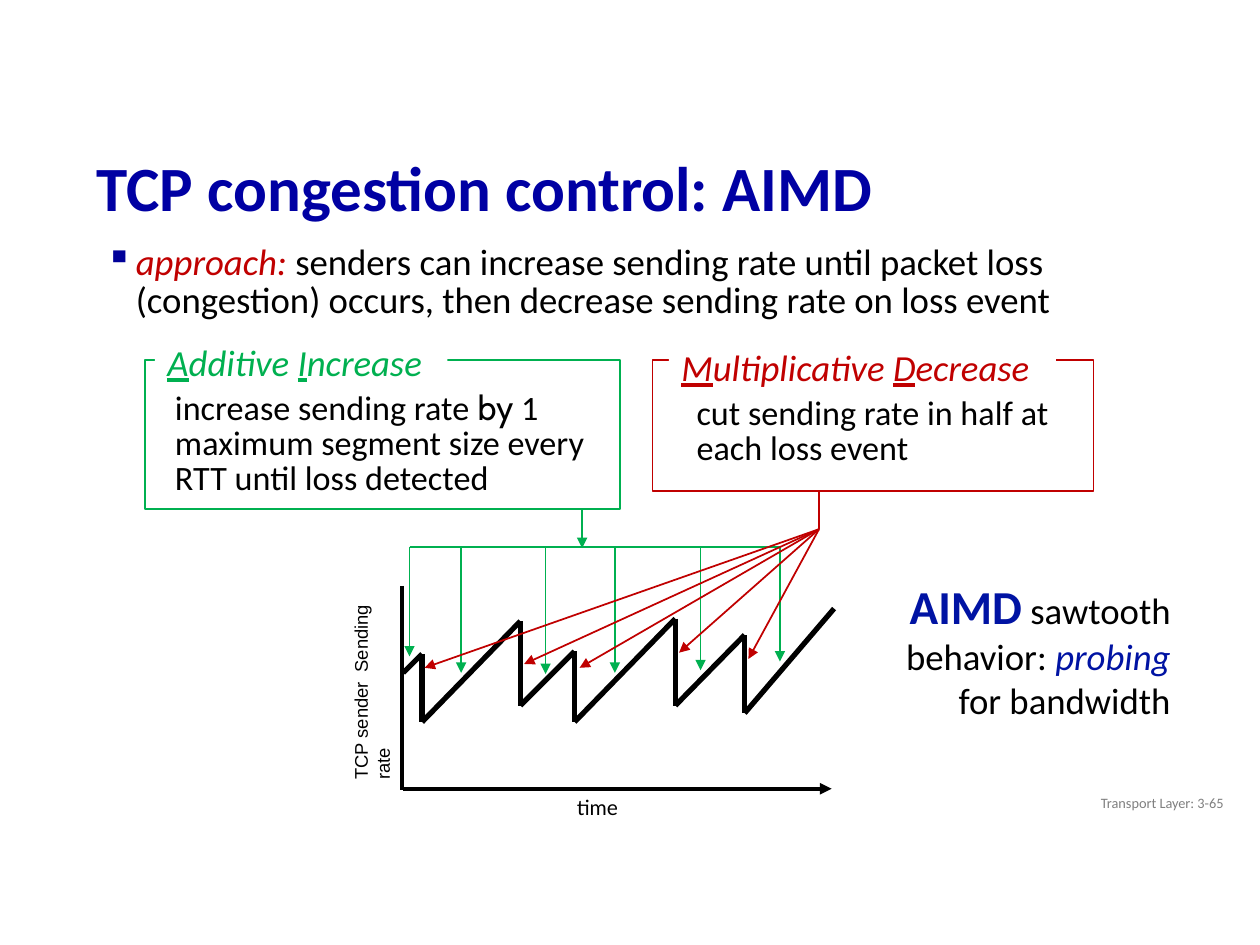
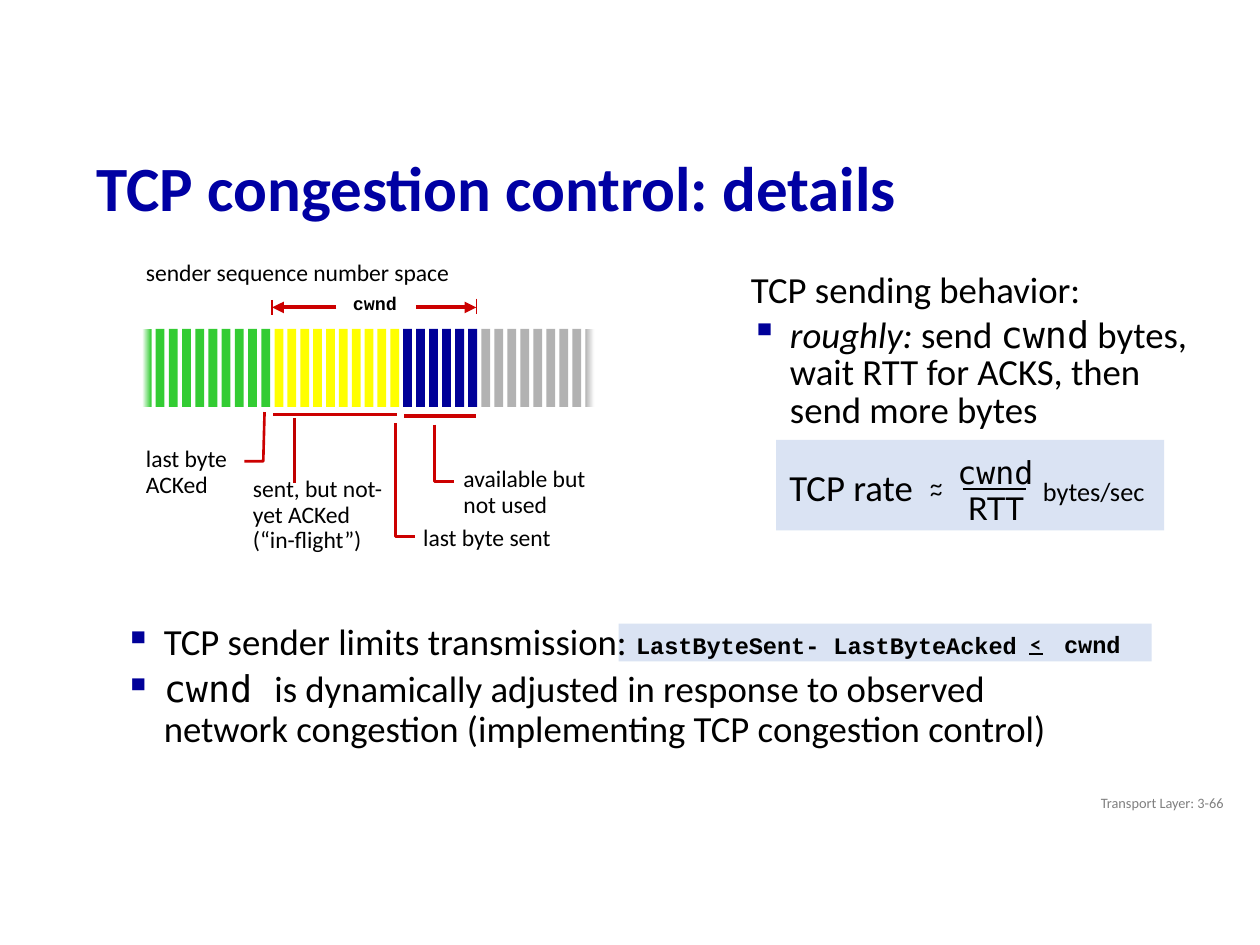
"""Build two slides on TCP congestion control."""
import itertools

import lxml.etree
import pptx
import pptx.dml.color
import pptx.enum.shapes
import pptx.enum.text
import pptx.oxml.ns
import pptx.util

BLACK, WHITE, GREY = "000000", "FFFFFF", "808080"
TITLE_BLUE, BULLET_BLUE, AIMD_BLUE = "0000A3", "000099", "0013A3"
GREEN, RED, BRIGHT_RED, PALE_BLUE = "00B050", "C00000", "CC0000", "DAE3F3"
MONO, COURIER, LATO = "DejaVu Sans Mono", "Courier New", "Lato"
TITLE_BOX, FOOTER_BOX = (0.67, 1.15, 9.34, 0.73), (7.56, 6.22, 2.25, 0.3)
SLIM_INSETS = (0.07, 0.04, 0.07, 0.04)

BODY = dict(spacing=0.85, before=True)
BOXED = dict(BODY, size=19.5, margin=0.5)
LABEL = dict(size=13.5, spacing=0.9)
CODE = dict(size=13.5, font=COURIER, bold=True)
TILDE = dict(size=13.5, font=LATO, align="CENTER")
FREE = dict(wrap=False)
CENTRED = dict(wrap=False, align="CENTER")
UNDER, PLAIN = dict(underline=True), {}

AIMD_PANELS = [
    ((1.15, 2.86, 3.77, 1.18), WHITE, GREEN),
    ((5.18, 2.86, 3.5, 1.04), WHITE, RED),
]
AIMD_TEXTS = [
    ((0.74, 1.9, 8.43, 1.19),
     [[("approach: ", dict(color=RED, italic=True)),
       ("senders can increase sending rate until packet loss (congestion) occurs, "
        "then decrease sending rate on loss event", PLAIN)]],
     dict(BODY, margin=0.24, hang=0.24, bullets_from=0)),
    ((7.07, 4.53, 2.32, 1.26),
     [[("AIMD", dict(size=27, color=AIMD_BLUE, bold=True)), (" sawtooth", PLAIN)],
      [("behavior: ", PLAIN), ("probing", dict(color=AIMD_BLUE, italic=True))],
      [("for bandwidth", PLAIN)]],
     dict(FREE, align="RIGHT")),
    ((2.02, 5.13, 1.86, 0.45), [[("TCP sender  Sending rate", PLAIN)]],
     dict(size=10.5, font="Arial", rotation=270, fill=WHITE)),
    ((4.48, 6.26, 0.53, 0.3), [[("time", PLAIN)]], dict(FREE, size=12, font=LATO)),
    ((0.79, 3.07, 4.15, 1.19),
     [[("increase sending rate ", PLAIN), ("by ", dict(font="Cabin")),
       ("1 maximum segment size every RTT until loss detected", PLAIN)]], BOXED),
    ((4.93, 3.11, 3.9, 0.68),
     [[("cut sending rate in half at each loss event", PLAIN)]], BOXED),
    ((1.23, 2.7, 2.32, 0.36),
     [[("A", UNDER), ("dditive ", PLAIN), ("I", UNDER), ("ncrease", PLAIN)]],
     dict(BODY, color=GREEN, italic=True, fill=WHITE)),
    ((5.31, 2.74, 3.07, 0.36),
     [[("M", UNDER), ("ultiplicative ", PLAIN), ("D", UNDER), ("ecrease", PLAIN)]],
     dict(BODY, color=RED, italic=True, fill=WHITE)),
]
SAWTOOTH = [(3.2, 5.34), (3.35, 5.19), (3.35, 5.73), (4.13, 4.93), (4.13, 5.6),
            (4.56, 5.17), (4.56, 5.73), (5.36, 4.91), (5.36, 5.6), (5.91, 5.04),
            (5.91, 5.66), (6.62, 4.83)]
INCREASE_Y, INCREASE_TIPS = 4.34, [(3.25, 5.21), (3.66, 5.34), (4.33, 5.35),
                                   (4.88, 5.34), (5.56, 5.32), (6.19, 5.25)]
LOSS_HUB, LOSS_TIPS = (6.5, 4.2), [(5.94, 5.23), (3.37, 5.3), (4.16, 5.27),
                                   (4.6, 5.3), (5.39, 5.18)]
AIMD_LINES = [
    ((3.2, 6.26), (6.6, 6.26), BLACK, 2.25, True),
    ((3.19, 4.65), (3.19, 6.27), BLACK, 2.25, False),
    ((3.25, INCREASE_Y), (6.19, INCREASE_Y), GREEN, 1, False),
    ((4.62, 4.04), (4.62, 4.35), GREEN, 1, True),
    (LOSS_HUB, (6.5, 3.9), RED, 1, False),
]

DETAIL_PANELS = [
    ((4.91, 4.95, 4.23, 0.3), PALE_BLUE, None),
    ((6.16, 3.49, 3.08, 0.72), PALE_BLUE, None),
]
DETAIL_TEXTS = [
    ((0.92, 4.91, 7.9, 1.39),
     [[("TCP sender limits transmission:", PLAIN)],
      [("cwnd ", dict(font=MONO)),
       ("is dynamically adjusted in response to observed network congestion "
        "(implementing TCP congestion control)", PLAIN)]],
     dict(spacing=0.9, before=True, margin=0.31, hang=0.31, bullets_from=0,
          insets=SLIM_INSETS)),
    ((4.95, 4.99, 3.61, 0.29), [[("LastByteSent- LastByteAcked", PLAIN)]],
     dict(CODE, **BODY, margin=0.25, hang=0.25)),
    ((8.05, 4.96, 0.34, 0.3), [[("<", PLAIN)]],
     dict(CENTRED, size=12, font=LATO, bold=True)),
    ((8.34, 4.95, 0.66, 0.33), [[("cwnd", PLAIN)]], dict(CENTRED, **CODE)),
    ((1.06, 3.5, 0.86, 0.51), [[("last byte", PLAIN)], [("ACKed", PLAIN)]],
     dict(FREE, **LABEL)),
    ((3.26, 4.13, 1.32, 0.31), [[("last byte sent", PLAIN)]], LABEL),
    ((2.7, 2.29, 0.55, 0.26), [[("cwnd", PLAIN)]],
     dict(CENTRED, size=10.5, font=COURIER, bold=True, spacing=0.9)),
    ((1.06, 2, 2.69, 0.33), [[("sender sequence number space", PLAIN)]],
     dict(FREE, size=13.5)),
    ((3.58, 3.66, 1.32, 0.51), [[("available but not used", PLAIN)]], LABEL),
    ((1.91, 3.74, 1.36, 0.71),
     [[("sent, but not-yet ACKed", PLAIN)], [("(“in-flight”)", PLAIN)]], LABEL),
    ((5.89, 2.13, 3.77, 2.01),
     [[("TCP sending behavior:", PLAIN)],
      [("roughly:", dict(italic=True)), (" send ", PLAIN), ("cwnd", dict(font=MONO)),
       (" bytes, wait RTT for ACKS, then send more bytes", PLAIN)]],
     dict(BODY, margin=0.31, hang=0.31, bullets_from=1, insets=SLIM_INSETS)),
    ((6.16, 3.64, 1.19, 0.45), [[("TCP rate", PLAIN)]], CENTRED),
    ((7.05, 3.68, 0.76, 0.33), [[("~", PLAIN)]], TILDE),
    ((7.05, 3.74, 0.76, 0.33), [[("~", PLAIN)]], TILDE),
    ((7.5, 3.55, 0.8, 0.4), [[("cwnd", PLAIN)]], dict(CENTRED, size=18, font=MONO)),
    ((7.58, 3.83, 0.65, 0.4), [[("RTT", PLAIN)]], dict(CENTRED, size=18, font=LATO)),
    ((8.17, 3.72, 1.02, 0.35), [[("bytes/sec", PLAIN)]], dict(CENTRED, size=15)),
]
DETAIL_LINES = [
    ((8.17, 5.19), (8.28, 5.19), BLACK, 1.5, False),
    ((7.64, 3.88), (8.14, 3.88), BLACK, 1.5, False),
    ((3.3, 2.44), (3.78, 2.44), BRIGHT_RED, 2.25, True),
    ((2.67, 2.44), (2.16, 2.44), BRIGHT_RED, 2.25, True),
    ((3.78, 2.37), (3.78, 2.49), BRIGHT_RED, 0.75, False),
    ((2.16, 2.38), (2.16, 2.5), BRIGHT_RED, 0.75, False),
    ((2.17, 3.29), (3.15, 3.29), BRIGHT_RED, 2.25, False),
    ((3.21, 3.3), (3.78, 3.3), BRIGHT_RED, 2.25, False),
    ((2.34, 3.32), (2.34, 3.83), RED, 1.5, False),
]
ELBOWS = [
    [(2.1, 3.27), (2.09, 3.66), (1.94, 3.66)],
    [(3.14, 3.36), (3.14, 4.26), (3.29, 4.26)],
    [(3.45, 3.37), (3.45, 3.82), (3.6, 3.82)],
]
BYTE_GROUPS = [("33CC33", 10), ("FFFF00", 10), ("000099", 6), ("B2B2B2", 9)]
BYTE_EDGES = [1.13, 2.18, 3.2, 3.82, 4.75]
BYTE_TOP, BYTE_W, BYTE_H = 2.61, 0.07, 0.62


def cm(inches):
    """Turn inches into a length."""
    return pptx.util.Cm(inches * 2.54)


def rgb(code):
    """Turn a hex string into a colour."""
    return pptx.dml.color.RGBColor.from_string(code)


def add_xml(parent, tag, **attrs):
    """Append a DrawingML element."""
    return lxml.etree.SubElement(parent, pptx.oxml.ns.qn(tag), attrs)


def add_panel(slide, box, fill, line=None):
    """Add a flat rectangle."""
    sp = slide.shapes.add_shape(pptx.enum.shapes.MSO_SHAPE.RECTANGLE, *map(cm, box))
    sp.shadow.inherit = False
    sp.fill.solid()
    sp.fill.fore_color.rgb = rgb(fill)
    if line:
        sp.line.color.rgb = rgb(line)
        sp.line.width = pptx.util.Pt(1)
    else:
        sp.line.fill.background()
    return sp


def add_run(p, text, size, font="Calibri", color=BLACK, bold=False, italic=False,
            underline=False):
    """Add one styled run."""
    r = p.add_run()
    r.text = text
    r.font.size, r.font.name = pptx.util.Pt(size), font
    r.font.color.rgb = rgb(color)
    r.font.bold, r.font.italic, r.font.underline = bold, italic, underline


def add_text(slide, box, paras, size=21, wrap=True, align="LEFT", anchor="TOP",
             spacing=1.0, before=False, margin=0, hang=0, bullets_from=None,
             insets=(0.1, 0.05, 0.1, 0.05), rotation=0, fill=None, **style):
    """Add a text box whose paragraphs are lists of runs."""
    sp = slide.shapes.add_textbox(*map(cm, box))
    sp.rotation = rotation
    if fill:
        sp.fill.solid()
        sp.fill.fore_color.rgb = rgb(fill)
    tf = sp.text_frame
    tf.word_wrap = wrap
    if not wrap:
        tf.auto_size = pptx.enum.text.MSO_AUTO_SIZE.SHAPE_TO_FIT_TEXT
    tf.vertical_anchor = pptx.enum.text.MSO_ANCHOR[anchor]
    tf.margin_left, tf.margin_top, tf.margin_right, tf.margin_bottom = map(cm, insets)
    for i, runs in enumerate(paras):
        p = tf.add_paragraph() if i else tf.paragraphs[0]
        p.alignment = pptx.enum.text.PP_ALIGN[align]
        p.line_spacing = spacing
        if before:
            p.space_before = pptx.util.Pt(size * 0.2)
        pPr = p._p.get_or_add_pPr()
        pPr.set("marL", str(cm(margin)))
        pPr.set("indent", str(-cm(hang)))
        if bullets_from is not None and i >= bullets_from:
            add_xml(add_xml(pPr, "a:buClr"), "a:srgbClr", val=BULLET_BLUE)
            add_xml(pPr, "a:buChar", char="▪")
        for text, own in runs:
            add_run(p, text, **{"size": size, **style, **own})


def add_line(slide, start, end, color, width, arrow=False):
    """Add a straight line, with an arrowhead at its end if asked."""
    c = slide.shapes.add_connector(pptx.enum.shapes.MSO_CONNECTOR.STRAIGHT,
                                   *map(cm, start + end))
    c.line.color.rgb = rgb(color)
    c.line.width = pptx.util.Pt(width)
    if arrow:
        add_xml(c.line._get_or_add_ln(), "a:tailEnd", type="triangle")
    add_xml(c._element.spPr, "a:effectLst")


def add_elbow(slide, points):
    """Add an open bent leader line."""
    start, *rest = [tuple(map(cm, point)) for point in points]
    fb = slide.shapes.build_freeform(*start)
    fb.add_line_segments(rest, close=False)
    sp = fb.convert_to_shape()
    sp.shadow.inherit = False
    sp.fill.background()
    sp.line.color.rgb = rgb(BRIGHT_RED)
    sp.line.width = pptx.util.Pt(1.5)


def add_fade(sp, left, right):
    """Fill a shape with a left-to-right gradient."""
    sp.fill.gradient()
    sp.fill.gradient_angle = 0
    for stop, color in zip(sp.fill.gradient_stops, (left, right)):
        stop.color.rgb = rgb(color)


def add_bytes(slide):
    """Draw the sequence number space as bars that fade out at both ends."""
    bars = []
    for (color, count), (left, right) in zip(BYTE_GROUPS, itertools.pairwise(BYTE_EDGES)):
        step = (right - left) / count
        bars += [add_panel(slide, (left + i * step, BYTE_TOP, BYTE_W, BYTE_H), color)
                 for i in range(count)]
    add_fade(bars[0], WHITE, BYTE_GROUPS[0][0])
    add_fade(bars[-1], BYTE_GROUPS[-1][0], WHITE)


def add_slide(prs, title, number, panels, texts, lines):
    """Add a slide with its title, footer, panels, texts and lines."""
    slide = prs.slides.add_slide(prs.slide_layouts[6])
    add_text(slide, TITLE_BOX, [[(title, PLAIN)]], size=36, color=TITLE_BLUE,
             bold=True, anchor="MIDDLE", spacing=0.9)
    for panel in panels:
        add_panel(slide, *panel)
    for box, paras, options in texts:
        add_text(slide, box, paras, **options)
    for line in lines:
        add_line(slide, *line)
    add_text(slide, FOOTER_BOX, [[(f"Transport Layer: 3-{number}", PLAIN)]], size=8.2,
             color=GREY, align="RIGHT", anchor="MIDDLE")
    return slide


def main():
    """Build and save the presentation."""
    prs = pptx.Presentation()
    prs.slide_width, prs.slide_height = cm(10), cm(7.5)

    teeth = [(a, b, BLACK, 3) for a, b in itertools.pairwise(SAWTOOTH)]
    increases = [((x, INCREASE_Y), (x, y), GREEN, 1, True) for x, y in INCREASE_TIPS]
    losses = [(LOSS_HUB, tip, RED, 1, True) for tip in LOSS_TIPS]
    add_slide(prs, "TCP congestion control: AIMD", 65, AIMD_PANELS, AIMD_TEXTS,
              teeth + AIMD_LINES + increases + losses)

    details = add_slide(prs, "TCP congestion control: details", 66, DETAIL_PANELS,
                        DETAIL_TEXTS, DETAIL_LINES)
    add_bytes(details)
    for points in ELBOWS:
        add_elbow(details, points)
    prs.save("out.pptx")


if __name__ == "__main__":
    main()
